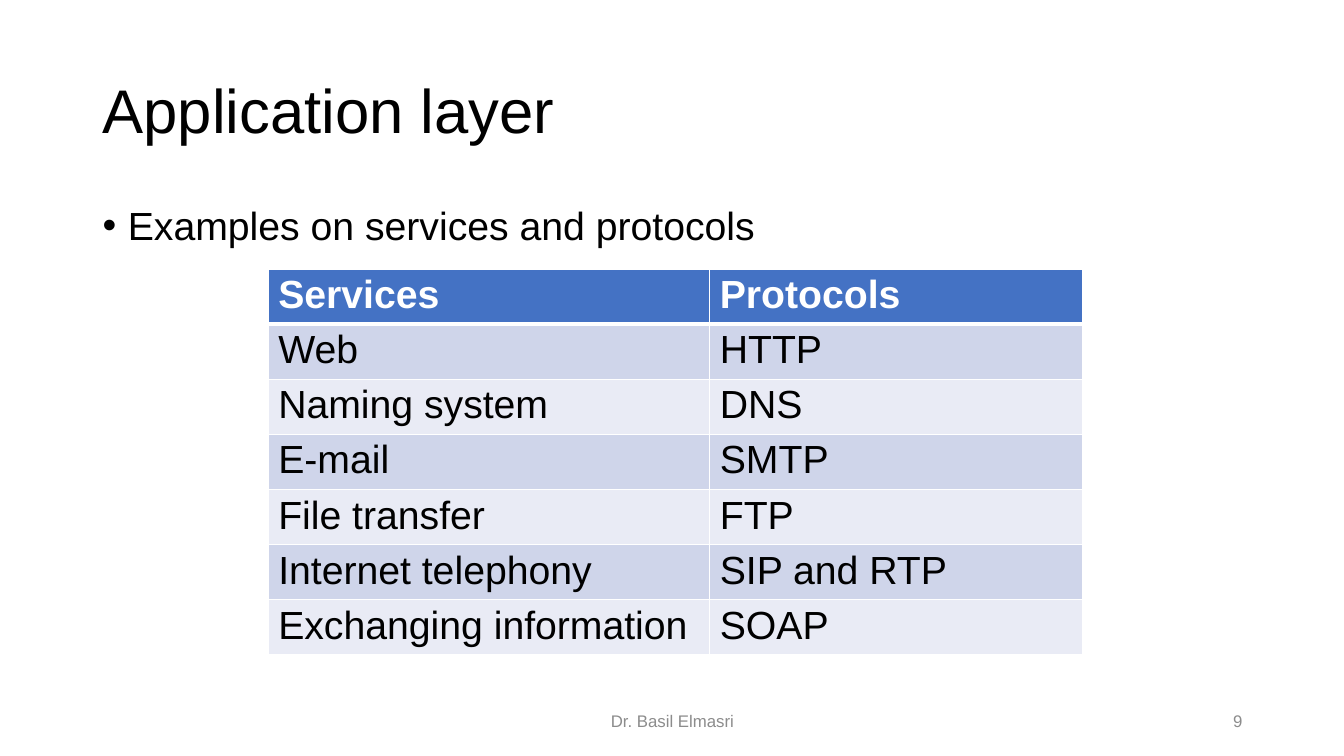
from lxml import etree
from pptx import Presentation
from pptx import util as u
from pptx.dml.color import RGBColor
from pptx.enum import text
from pptx.oxml import ns

COLORS = {
    "ink": "000000",
    "white": "FFFFFF",
    "footer": "8C8C8C",
    "header": "4472C4",
    "odd_row": "CFD5EA",
    "even_row": "E9EBF5",
}
FONT = "Arial"
ROWS = [
    ("Services", "Protocols"),
    ("Web", "HTTP"),
    ("Naming system", "DNS"),
    ("E-mail", "SMTP"),
    ("File transfer", "FTP"),
    ("Internet telephony", "SIP and RTP"),
    ("Exchanging information", "SOAP"),
]


def write_text(frame, content, size=28, color="ink", bold=False,
               align=text.PP_ALIGN.LEFT, anchor=text.MSO_ANCHOR.TOP, line_spacing=1.0):
    frame.word_wrap = True
    frame.vertical_anchor = anchor
    paragraph = frame.paragraphs[0]
    paragraph.alignment = align
    paragraph.line_spacing = line_spacing
    run = paragraph.add_run()
    run.text = content
    run.font.name = FONT
    run.font.size = u.Pt(size)
    run.font.bold = bold
    run.font.color.rgb = RGBColor.from_string(COLORS[color])
    return paragraph


def add_text(slide, box, content, **text_format):
    shape = slide.shapes.add_textbox(*map(u.Inches, box))
    return write_text(shape.text_frame, content, **text_format)


def add_title(slide, box):
    add_text(slide, box, "Application layer", size=44,
             anchor=text.MSO_ANCHOR.MIDDLE, line_spacing=0.9)


def add_bullet(slide, box):
    paragraph = add_text(slide, box, "Examples on services and protocols",
                         align=text.PP_ALIGN.JUSTIFY, line_spacing=0.9)
    paragraph.space_before = u.Pt(10)
    properties = paragraph._p.get_or_add_pPr()
    properties.set("marL", str(u.Inches(0.25)))
    properties.set("indent", str(u.Inches(-0.25)))
    etree.SubElement(properties, ns.qn("a:buFont")).set("typeface", FONT)
    etree.SubElement(properties, ns.qn("a:buChar")).set("char", "•")


def set_borders(cell, bottom_width):
    properties = cell._tc.get_or_add_tcPr()
    widths = {"lnL": 1, "lnR": 1, "lnT": 1, "lnB": bottom_width}
    for position, (side, width) in enumerate(widths.items()):
        line = etree.Element(ns.qn(f"a:{side}"), w=str(u.Pt(width)))
        fill = etree.SubElement(line, ns.qn("a:solidFill"))
        etree.SubElement(fill, ns.qn("a:srgbClr")).set("val", COLORS["white"])
        properties.insert(position, line)


def add_protocol_table(slide, box):
    left, top, width, height = map(u.Inches, box)
    table = slide.shapes.add_table(len(ROWS), 2, left, top, width, height).table
    services_width = u.Inches(4.38)
    table.columns[0].width = services_width
    table.columns[1].width = width - services_width
    for row_index, row in enumerate(ROWS):
        is_header = row_index == 0
        fill = "header" if is_header else "odd_row" if row_index % 2 else "even_row"
        for column_index, content in enumerate(row):
            cell = table.cell(row_index, column_index)
            cell.margin_top = cell.margin_bottom = u.Inches(0.04)
            cell.fill.solid()
            cell.fill.fore_color.rgb = RGBColor.from_string(COLORS[fill])
            set_borders(cell, 3 if is_header else 1)
            write_text(cell.text_frame, content, bold=is_header,
                       color="white" if is_header else "ink")


def add_footer(slide, box):
    left, top, width, height = box
    footer_format = dict(size=12, color="footer", anchor=text.MSO_ANCHOR.MIDDLE)
    add_text(slide, (left, top, 4.5, height), "Dr. Basil Elmasri",
             align=text.PP_ALIGN.CENTER, **footer_format)
    add_text(slide, (left + width - 3, top, 3, height), "9",
             align=text.PP_ALIGN.RIGHT, **footer_format)


def main():
    presentation = Presentation()
    presentation.slide_width = u.Inches(13.33)
    presentation.slide_height = u.Inches(7.5)
    slide = presentation.slides.add_slide(presentation.slide_layouts[6])
    add_title(slide, (0.92, 0.4, 10.57, 1.45))
    add_bullet(slide, (0.92, 2, 11.5, 4.76))
    add_footer(slide, (4.42, 6.95, 8, 0.4))
    add_protocol_table(slide, (2.66, 2.67, 8.08, 3.73))
    presentation.save("out.pptx")


if __name__ == "__main__":
    main()
